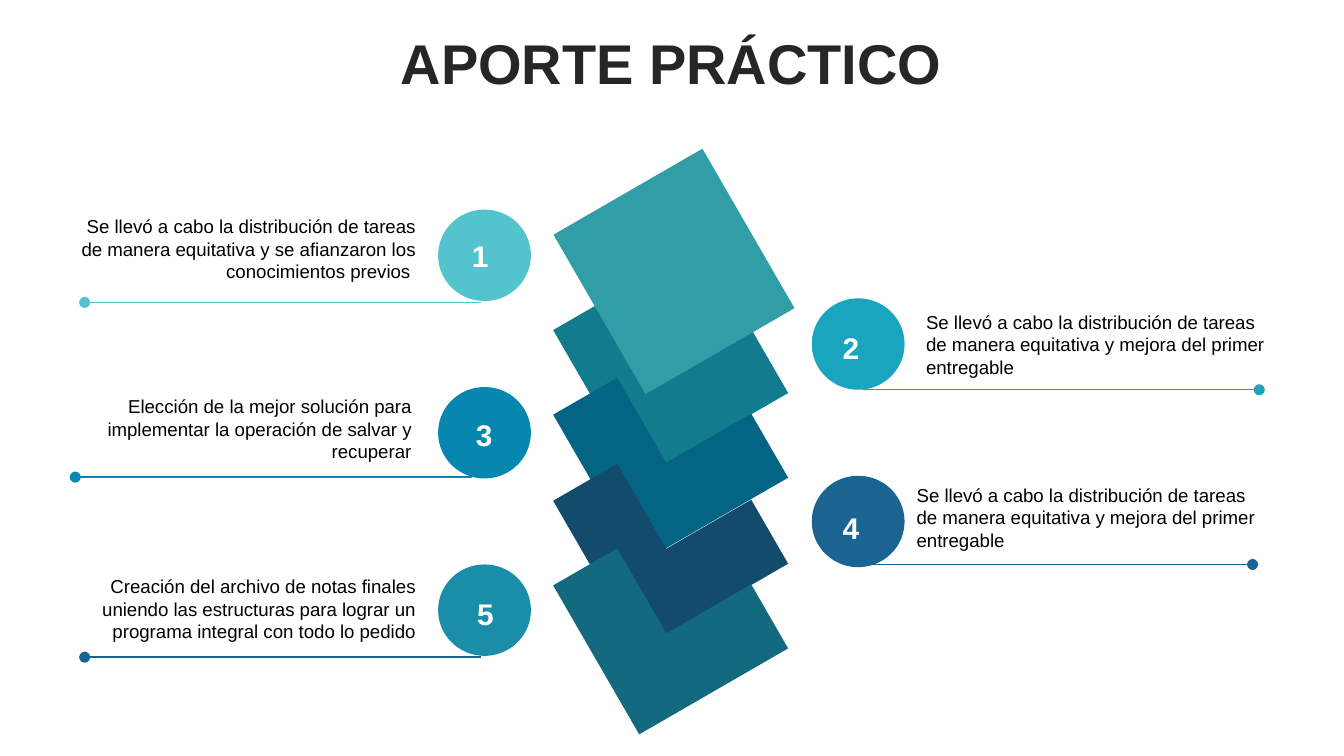
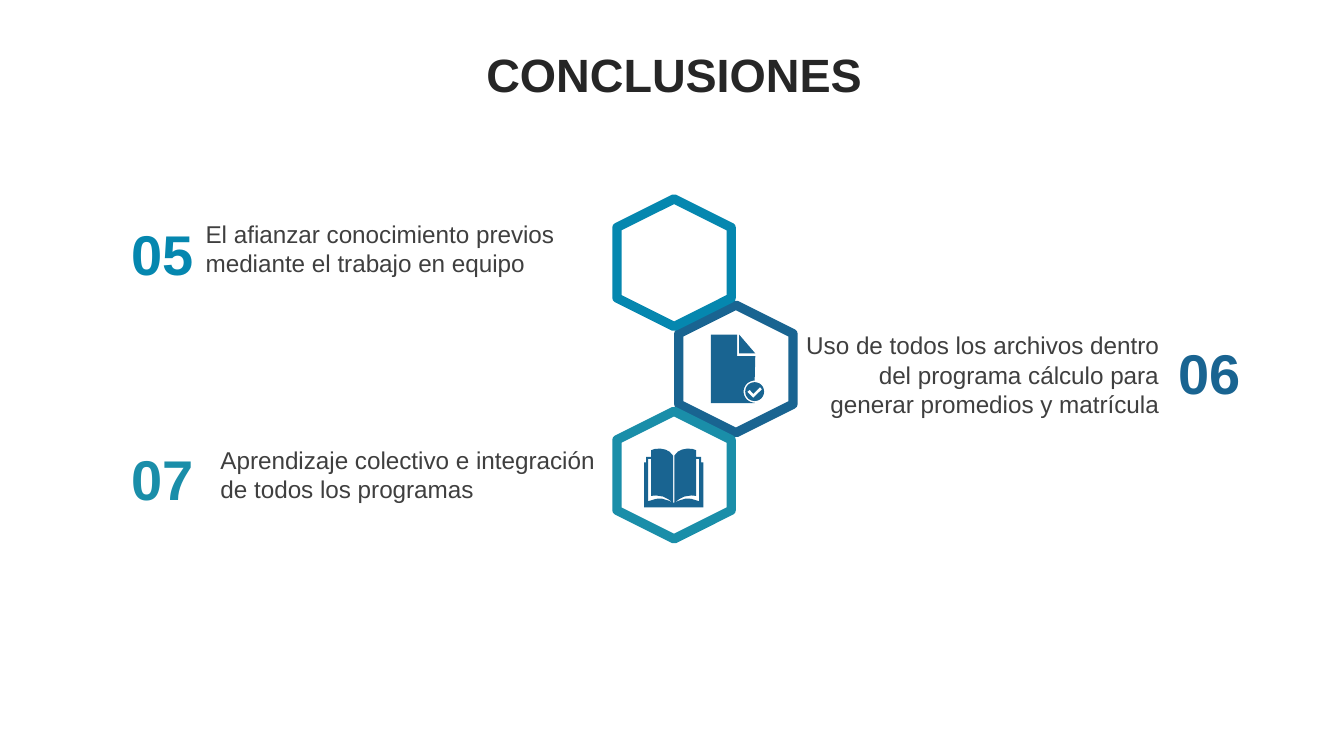
import math

import pptx
import pptx.dml.color
import pptx.enum.shapes
import pptx.enum.text
import pptx.oxml
import pptx.util

PX = 9144  # 100 px to the inch
SHAPE = pptx.enum.shapes.MSO_SHAPE
ALIGN = pptx.enum.text.PP_ALIGN
ANCHOR = pptx.enum.text.MSO_ANCHOR
NS = 'xmlns:a="http://schemas.openxmlformats.org/drawingml/2006/main"'


class Theme:
    font = "Arial"
    title, black, body, white = "262626", "000000", "3F3F3F", "FFFFFF"
    aqua, cyan, blue, navy, teal = "53C3CD", "19A5BE", "0587AF", "196491", "1A8EA9"
    square = "309DA7"
    layers = ["127B8E", "036583", "124B6C", "136A7E"]
    big, heading, number, point, note = 30, 25, 16, 13, 10


def paint(sp, fill, line=None, width=0):
    """Give a shape a flat fill and, if wanted, an outline."""
    sp.shadow.inherit = False
    sp.fill.solid()
    sp.fill.fore_color.rgb = pptx.dml.color.RGBColor.from_string(fill)
    if line:
        sp.line.color.rgb = pptx.dml.color.RGBColor.from_string(line)
        sp.line.width = pptx.util.Pt(width)
    else:
        sp.line.fill.background()


def add_text(s, box, text, size, color, bold=False, align=ALIGN.LEFT, title=False):
    tf = s.shapes.add_textbox(*(v * PX for v in box)).text_frame
    tf.word_wrap = True
    tf.margin_left = tf.margin_right = 7 * PX
    tf.margin_top = tf.margin_bottom = 4 * PX
    p = tf.paragraphs[0]
    p.alignment = align
    if title:
        tf.vertical_anchor = ANCHOR.MIDDLE
        p.line_spacing = 0.9
    r = p.add_run()
    r.text = text
    r.font.name = Theme.font
    r.font.size = pptx.util.Pt(size)
    r.font.bold = bold
    r.font.color.rgb = pptx.dml.color.RGBColor.from_string(color)


prs = pptx.Presentation()
prs.slide_width = pptx.util.Inches(10)
prs.slide_height = pptx.util.Inches(5.625)

titles = [
    ("APORTE PRÁCTICO", (25, 8, 949, 83), Theme.big),
    ("CONCLUSIONES", (27, 28, 949, 59), Theme.heading),
]
slides = []
for text, box, size in titles:
    s = prs.slides.add_slide(prs.slide_layouts[6])
    add_text(s, box, text, size, Theme.title, True, ALIGN.CENTER, title=True)
    slides.append(s)
steps, conclusions = slides

# Stack of tilted squares: each lower layer is an L tucked under the one above
stack = steps.shapes.add_group_shape().shapes
corner = [(73, 0), (128, 0), (128, 128), (0, 128), (0, 73), (73, 73)]
for i, color in enumerate(Theme.layers):
    left, top = 435, 205 + round(i * 63.4)
    points = [(left + x, top + y) for x, y in corner]
    fb = stack.build_freeform(*points[0], scale=PX)
    fb.add_line_segments(points[1:], close=True)
    sp = fb.convert_to_shape()
    sp.rotation = 60
    paint(sp, color)
    if i == 0:
        sp = stack.add_shape(SHAPE.RECTANGLE, 433 * PX, 138 * PX, 137 * PX, 128 * PX)
        sp.rotation = 60
        paint(sp, Theme.square)

# Numbered notes: circle colour, number place, note box, rule start and colour
shared_task = ("Se llevó a cabo la distribución de tareas de manera equitativa "
               "y mejora del primer entregable")
notes = [
    (Theme.aqua, (344, 173), (48, 156, 268, 52), (63, 225), Theme.aqua,
     "Se llevó a cabo la distribución de tareas de manera equitativa "
     "y se afianzaron los conocimientos previos "),
    (Theme.cyan, (620, 241), (682, 227, 268, 58), (642, 290), Theme.cyan, shared_task),
    (Theme.blue, (347, 306), (45, 290, 268, 52), (56, 355), Theme.blue,
     "Elección de la mejor solución para implementar la operación de salvar y recuperar"),
    (Theme.navy, (620, 375), (675, 356, 268, 58), (637, 420), Theme.navy, shared_task),
    (Theme.teal, (348, 439), (48, 424, 268, 52), (63, 489), Theme.navy,
     "Creación del archivo de notas finales uniendo las estructuras "
     "para lograr un programa integral con todo lo pedido"),
]
for i, (color, number_at, box, (x, y), rule_color, text) in enumerate(notes):
    on_left = i % 2 == 0
    sp = steps.shapes.add_shape(SHAPE.OVAL, (326 if on_left else 604) * PX,
                                (156 + 66 * i) * PX, 69 * PX, 68 * PX)
    paint(sp, color)
    add_text(steps, (*number_at, 69, 68), str(i + 1), Theme.number, Theme.white, True)
    add_text(steps, box, text, Theme.note, Theme.black,
             align=ALIGN.RIGHT if on_left else ALIGN.LEFT)
    rule = steps.shapes.add_connector(pptx.enum.shapes.MSO_CONNECTOR.STRAIGHT,
                                      x * PX, y * PX, (x + 295) * PX, y * PX)
    rule.line.color.rgb = pptx.dml.color.RGBColor.from_string(rule_color)
    rule.line.width = pptx.util.Pt(0.75)
    end = "headEnd" if on_left else "tailEnd"
    rule.line._get_or_add_ln().append(pptx.oxml.parse_xml(f'<a:{end} {NS} type="oval"/>'))
    rule._element.spPr.append(pptx.oxml.parse_xml(f"<a:effectLst {NS}/>"))

# Honeycomb
comb = conclusions.shapes.add_group_shape().shapes
for x, y, color in [(500, 232, Theme.navy), (454, 153, Theme.blue), (454, 311, Theme.teal)]:
    sp = comb.add_shape(SHAPE.HEXAGON, x * PX, y * PX, 95 * PX, 85 * PX)
    sp.adjustments[0] = 0.25
    sp.adjustments[1] = 1.1547
    sp.rotation = 90
    paint(sp, Theme.white, color, 5)

points = [
    ("05", (90, 159), Theme.blue, (146, 159, 298, 67), ALIGN.LEFT,
     "El afianzar conocimiento previos mediante el trabajo en equipo"),
    ("06", (869, 248), Theme.navy, (589, 242, 280, 72), ALIGN.RIGHT,
     "Uso de todos los archivos dentro del programa cálculo para "
     "generar promedios y matrícula"),
    ("07", (90, 327), Theme.teal, (157, 327, 298, 58), ALIGN.LEFT,
     "Aprendizaje colectivo e integración de todos los programas"),
]
for number, number_at, color, box, align, text in points:
    add_text(conclusions, (*number_at, 62, 58), number, Theme.big, color, True, ALIGN.CENTER)
    add_text(conclusions, box, text, Theme.point, Theme.body, align=align)

# Icons, in tenths of a px; the book is mirrored about its spine
spine = 5013
half_cover = [(0, 3742), (40, 3725), (90, 3710), (130, 3712), (190, 3730), (190, 3415),
              (170, 3415), (170, 3400), (205, 3400), (205, 3440), (220, 3440), (220, 3775)]
half_page = [(5, 3740), (5, 3390), (30, 3362), (60, 3346), (100, 3338), (140, 3341),
             (168, 3350), (168, 3690), (130, 3687), (80, 3695), (40, 3715)]
cover = ([(spine + x, y) for x, y in half_cover]
         + [(spine - x, y) for x, y in reversed(half_cover)])
book = [cover] + [[(spine + side * x, y) for x, y in half_page] for side in (-1, 1)]

badge_x, badge_y = 5615, 2914
bite, badge = [
    [(badge_x + round(radius * math.cos(math.radians(a))),
      badge_y + round(radius * math.sin(math.radians(a)))) for a in angles]
    for radius, angles in [(82, range(270, 89, -10)), (70, range(0, 360, 10))]
]
sheet = [(5290, 2490), (5485, 2490), (5485, 2650), (5620, 2650), *bite, (5615, 3000), (5290, 3000)]
fold = [(5500, 2490), (5620, 2630), (5500, 2630)]
tick = [(5655, 2880), (5605, 2930), (5578, 2900), (5560, 2915), (5605, 2960), (5670, 2897)]

for outlines in (book, [sheet, fold, badge, tick]):
    fb = conclusions.shapes.build_freeform(*outlines[0][0], scale=PX / 10)
    fb.add_line_segments(outlines[0][1:], close=True)
    for outline in outlines[1:]:
        fb.move_to(*outline[0])
        fb.add_line_segments(outline[1:], close=True)
    paint(fb.convert_to_shape(), Theme.navy)

prs.save("out.pptx")
